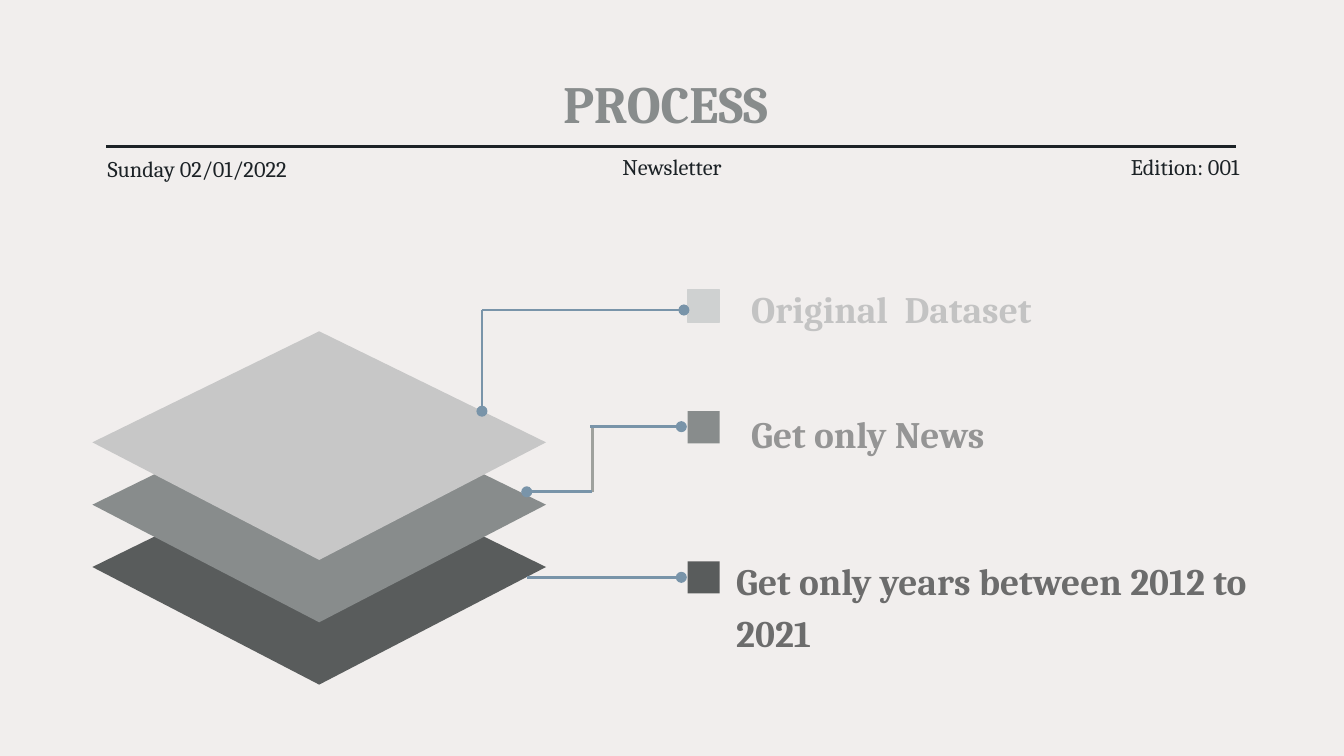
"""Build the PROCESS slide: three stacked layers linked to the data filtering steps."""
from dataclasses import dataclass

from lxml import etree
from pptx import Presentation
from pptx.dml.color import RGBColor
from pptx.enum.shapes import MSO_CONNECTOR, MSO_SHAPE
from pptx.enum.text import MSO_ANCHOR, PP_ALIGN
from pptx.oxml.ns import qn
from pptx.util import Pt


@dataclass(frozen=True)
class Theme:
    font: str = "Cambria"
    background: str = "F1EEED"
    ink: str = "1C2226"
    light: str = "C7C7C7"
    medium: str = "888C8C"
    dark: str = "595C5C"
    light_marker: str = "CFD1D1"
    light_label: str = "C3C3C3"
    medium_label: str = "959595"
    dark_label: str = "6C6C6C"
    link: str = "7994A9"
    riser: str = "9FA19D"
    title_size: int = 28
    label_size: int = 20
    masthead_size: int = 12


theme = Theme()


def add_text(text, box, size, color, bold=False, align=PP_ALIGN.LEFT,
             anchor=MSO_ANCHOR.MIDDLE, side_inset=0, end_inset=7.2, spacing=None):
    frame = slide.shapes.add_textbox(*map(Pt, box)).text_frame
    frame.word_wrap = True
    frame.vertical_anchor = anchor
    frame.margin_left = frame.margin_right = Pt(side_inset)
    frame.margin_top = frame.margin_bottom = Pt(end_inset)
    frame.text = text
    paragraph = frame.paragraphs[0]
    paragraph.alignment = align
    paragraph.line_spacing = spacing
    font = paragraph.runs[0].font
    font.name, font.size, font.bold = theme.font, Pt(size), bold
    font.color.rgb = RGBColor.from_string(color)


def add_line(start, end, color, dot=False):
    line = slide.shapes.add_connector(MSO_CONNECTOR.STRAIGHT, *map(Pt, start + end))
    line.line.width = Pt(1.5)
    line.line.color.rgb = RGBColor.from_string(color)
    properties = line.line._get_or_add_ln()
    if dot:
        etree.SubElement(properties, qn("a:tailEnd"), type="oval")
    etree.SubElement(properties.getparent(), qn("a:effectLst"))


presentation = Presentation()
presentation.slide_width, presentation.slide_height = Pt(720), Pt(405)
slide = presentation.slides.add_slide(presentation.slide_layouts[6])
slide.background.fill.solid()
slide.background.fill.fore_color.rgb = RGBColor.from_string(theme.background)

add_text("PROCESS ", (57.6, 38.2, 604, 33.1), theme.title_size, theme.medium,
         bold=True, align=PP_ALIGN.CENTER, side_inset=7.2)
add_line((57, 78.5), (662, 78.5), theme.ink)
for text, left, top, align in (
    ("Sunday 02/01/2022", 57.6, 83.5, PP_ALIGN.LEFT),
    ("Newsletter", 299.2, 82.2, PP_ALIGN.CENTER),
    ("Edition: 001", 542.2, 82.2, PP_ALIGN.RIGHT),
):
    add_text(text, (left, top, 121.7, 13.7), theme.masthead_size, theme.ink, align=align)

layer_left, layer_top, layer_step = 49.5, 177.5, 33.4
half_width, upper_height, layer_height = 121.5, 59.5, 122.5
for level, color in ((2, theme.dark), (1, theme.medium), (0, theme.light)):
    top = layer_top + level * layer_step
    middle = layer_left + half_width
    outline = slide.shapes.build_freeform(Pt(middle), Pt(top))
    outline.add_line_segments([
        (Pt(layer_left), Pt(top + upper_height)),
        (Pt(middle), Pt(top + layer_height)),
        (Pt(middle + half_width), Pt(top + upper_height)),
    ], close=True)
    layer = outline.convert_to_shape()
    layer.shadow.inherit = False
    layer.fill.solid()
    layer.fill.fore_color.rgb = RGBColor.from_string(color)
    layer.line.fill.background()

for text, marker_top, marker_color, label_box, label_color in (
    ("Original  Dataset", 155.3, theme.light_marker, (402.4, 149.8, 236.9, 27.4), theme.light_label),
    ("Get only News", 220.3, theme.medium, (402.4, 216.7, 236.9, 27.4), theme.medium_label),
    ("Get only years between 2012 to 2021", 300.7, theme.dark, (394.4, 323.3, 276.5, 27.4), theme.dark_label),
):
    marker = slide.shapes.add_shape(MSO_SHAPE.RECTANGLE, Pt(368.4), Pt(marker_top), Pt(17.2), Pt(17.2))
    marker.shadow.inherit = False
    marker.fill.solid()
    marker.fill.fore_color.rgb = RGBColor.from_string(marker_color)
    if marker_color == theme.light_marker:
        marker.line.color.rgb = RGBColor.from_string(marker_color)
        marker.line.width = Pt(0.75)
    else:
        marker.line.fill.background()
    add_text(text, label_box, theme.label_size, label_color, bold=True,
             anchor=MSO_ANCHOR.BOTTOM, end_inset=0, spacing=1.15)

for start, end, color, dot in (
    ((258.2, 166.1), (366.4, 166.1), theme.link, True),
    ((258.2, 166.1), (258.2, 220.3), theme.link, True),
    ((316.2, 228.6), (365, 228.6), theme.link, True),
    ((317.4, 229.5), (317.4, 263.5), theme.riser, False),
    ((317.4, 263.5), (282.2, 263.5), theme.link, True),
    ((282.2, 309.3), (365, 309.3), theme.link, True),
):
    add_line(start, end, color, dot)

presentation.save("out.pptx")
